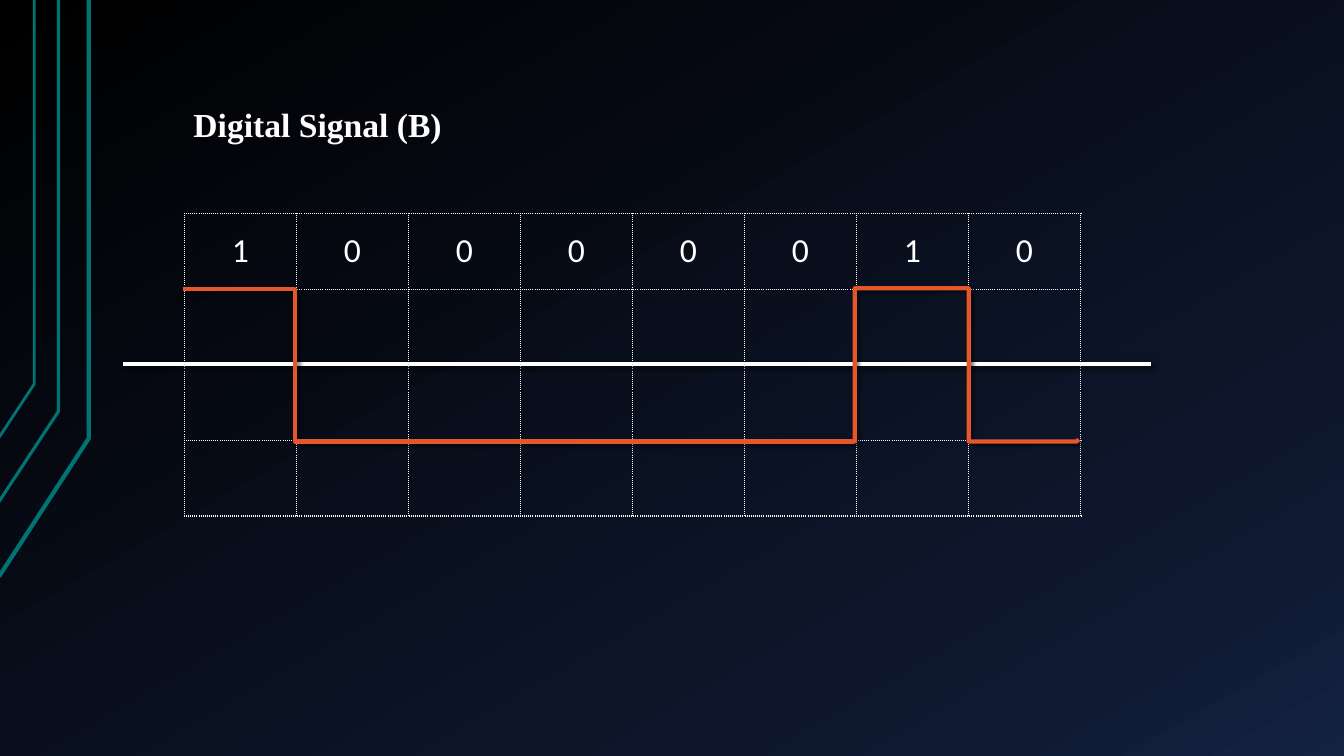
from copy import deepcopy

from lxml.etree import SubElement
from pptx import Presentation
from pptx.dml.color import RGBColor
from pptx.enum.shapes import MSO_CONNECTOR as CONN
from pptx.enum.text import MSO_ANCHOR as ANCHOR, MSO_AUTO_SIZE as AUTO, PP_ALIGN as ALIGN
from pptx.oxml.ns import qn
from pptx.util import Pt

WHITE, ORANGE, TEAL = "FFFFFF", "E5572B", "007373"
BITS = "10000010"
COL_W, ROW_H, ROWS = 80, 54, 4


def rgb(color):
    return RGBColor.from_string(color)


def write(tf, text, font="Calibri", size=24, color=WHITE, bold=False, align=ALIGN.LEFT):
    p = tf.paragraphs[0]
    p.alignment = align
    r = p.add_run()
    r.text = text
    r.font.name, r.font.size, r.font.bold = font, Pt(size), bold
    r.font.color.rgb = rgb(color)


def style_line(sp, color, width, shadow=False):
    """Set the stroke, then an effect list that is empty or holds a soft shadow."""
    sp.line.color.rgb = rgb(color)
    sp.line.width = Pt(width)
    effects = SubElement(sp._element.spPr, qn("a:effectLst"))
    if shadow:
        outer = SubElement(effects, qn("a:outerShdw"), blurRad=str(Pt(3)), dist=str(Pt(2)),
                           dir=str(45 * 60000), rotWithShape="0")
        black = SubElement(outer, qn("a:srgbClr"), val="000000")
        SubElement(black, qn("a:alpha"), val="60000")


def add_polyline(s, points, color, width, shadow=False):
    (x, y), *rest = [(Pt(px), Pt(py)) for px, py in points]
    builder = s.shapes.build_freeform(x, y)
    builder.add_line_segments(rest, close=False)
    sp = builder.convert_to_shape()
    sp.fill.background()
    style_line(sp, color, width, shadow)


def add_line(s, kind, x1, y1, x2, y2, color):
    line = s.shapes.add_connector(kind, Pt(x1), Pt(y1), Pt(x2), Pt(y2))
    style_line(line, color, 3, shadow=True)
    return line


def add_background(s):
    fill = s.background.fill
    fill.gradient()
    fill.gradient_angle = 300
    stops = s.element.find(".//" + qn("a:gsLst"))
    stops.append(deepcopy(stops[-1]))
    colors = [(0, "000000"), (0.85, "0F1931"), (1, "142242")]
    for stop, (position, color) in zip(fill.gradient_stops, colors):
        stop.position = position
        stop.color.rgb = rgb(color)


def add_corner_lines(s, x, y):
    # right edge, height of the bend, left end, bottom end, line width
    for right, bend, left, bottom, width in [(63.4, 313.2, -0.7, 411.8, 3),
                                             (41.8, 293.8, -1.4, 359.3, 2.25),
                                             (24.5, 274.3, -0.7, 312.5, 2)]:
        add_polyline(s, [(x + left, y + bottom), (x + right, y + bend), (x + right, y)],
                     TEAL, width)


def add_title(s, x, y, w, h):
    title = s.shapes.title
    title.left, title.top, title.width, title.height = Pt(x), Pt(y), Pt(w), Pt(h)
    tf = title.text_frame
    tf.word_wrap = False
    tf.auto_size = AUTO.SHAPE_TO_FIT_TEXT
    tf.vertical_anchor = ANCHOR.TOP
    write(tf, "Digital Signal (B)", font="Times New Roman", bold=True)


def set_borders(cell, solid_side):
    tc_pr = cell._tc.get_or_add_tcPr()
    for side in ("lnL", "lnR", "lnT", "lnB"):
        ln = SubElement(tc_pr, qn("a:" + side), w=str(Pt(1)))
        SubElement(SubElement(ln, qn("a:solidFill")), qn("a:srgbClr"), val=WHITE)
        SubElement(ln, qn("a:prstDash"), val="solid" if side == solid_side else "dot")


def add_bit_grid(s, x, y):
    table = s.shapes.add_table(ROWS, len(BITS), Pt(x), Pt(y),
                               Pt(COL_W * len(BITS)), Pt(ROW_H * ROWS)).table
    table.first_row = table.horz_banding = False
    for col in table.columns:
        col.width = Pt(COL_W)
    for i, row in enumerate(table.rows):
        row.height = Pt(ROW_H)
        # The border between the two middle rows is the solid zero level
        solid_side = {1: "lnB", 2: "lnT"}.get(i)
        for bit, cell in zip(BITS, row.cells):
            set_borders(cell, solid_side)
            cell.fill.background()
            cell.vertical_anchor = ANCHOR.MIDDLE
            if i == 0:
                write(cell.text_frame, bit, align=ALIGN.CENTER)


def add_signal(s, x, y):
    high, zero, low = (y + ROW_H * n for n in (1, 2, 3))
    # Zero axis
    add_line(s, CONN.STRAIGHT, x - 44, zero - 0.5, x + 690.5, zero - 0.5, WHITE)
    # First pulse and the low run after it
    rise = x + 6 * COL_W - 1.2
    pulse = add_line(s, CONN.ELBOW, x - 0.7, high, rise, low + 0.7, ORANGE)
    geom = pulse._element.spPr.find(qn("a:prstGeom"))
    guides = geom.find(qn("a:avLst"))
    SubElement(guides, qn("a:gd"), name="adj1", fmla="val 16600")
    # Second pulse and the low end
    fall, end = x + 7 * COL_W + 0.2, x + 8 * COL_W - 1.2
    add_polyline(s, [(rise, low + 2), (rise, high - 0.7), (fall, high - 0.7),
                     (fall, low + 0.7), (end - 1.4, low + 0.7), (end, low - 0.7)],
                 ORANGE, 3, shadow=True)


def main():
    prs = Presentation()
    prs.slide_width, prs.slide_height = Pt(960), Pt(540)
    s = prs.slides.add_slide(prs.slide_layouts[5])
    add_background(s)
    add_corner_lines(s, 0, 0)
    add_bit_grid(s, 131.76, 152.6)
    add_signal(s, 131.76, 152.6)
    add_title(s, 131, 70.5, 194, 36)
    prs.save("out.pptx")


if __name__ == "__main__":
    main()
